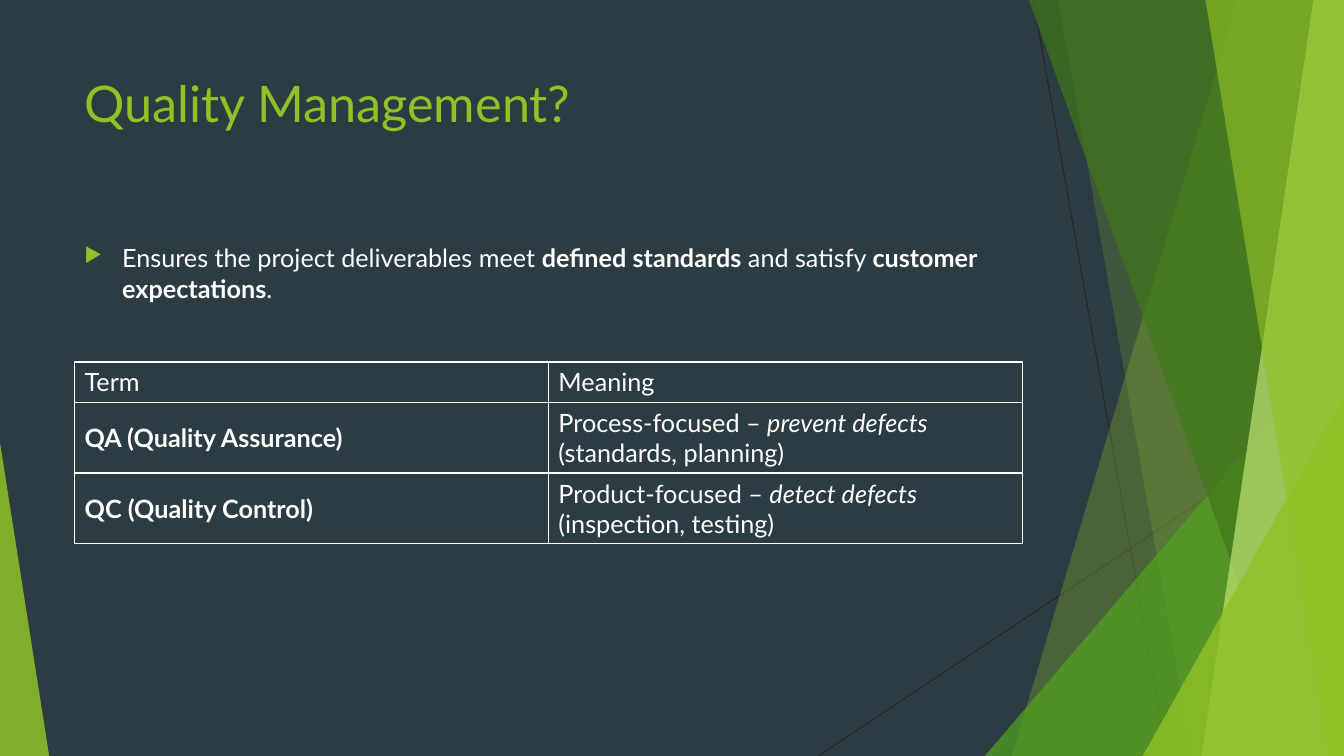
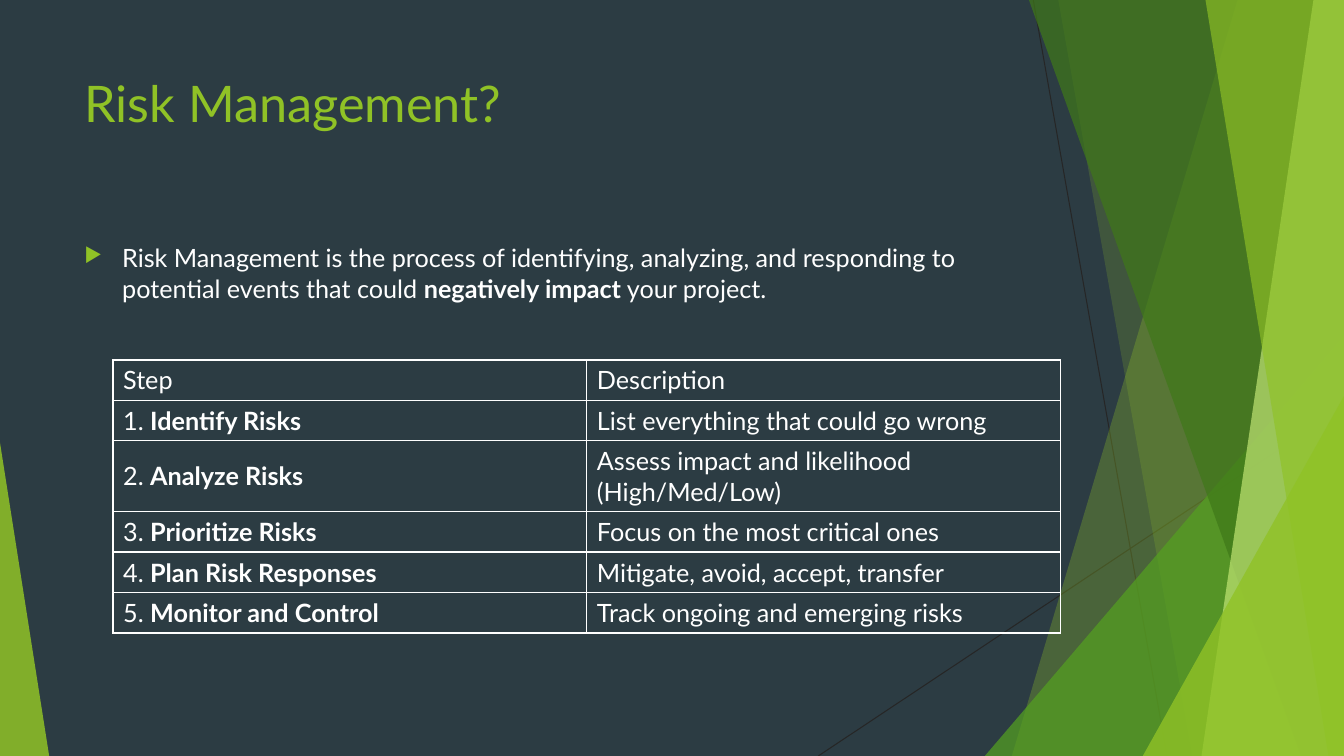
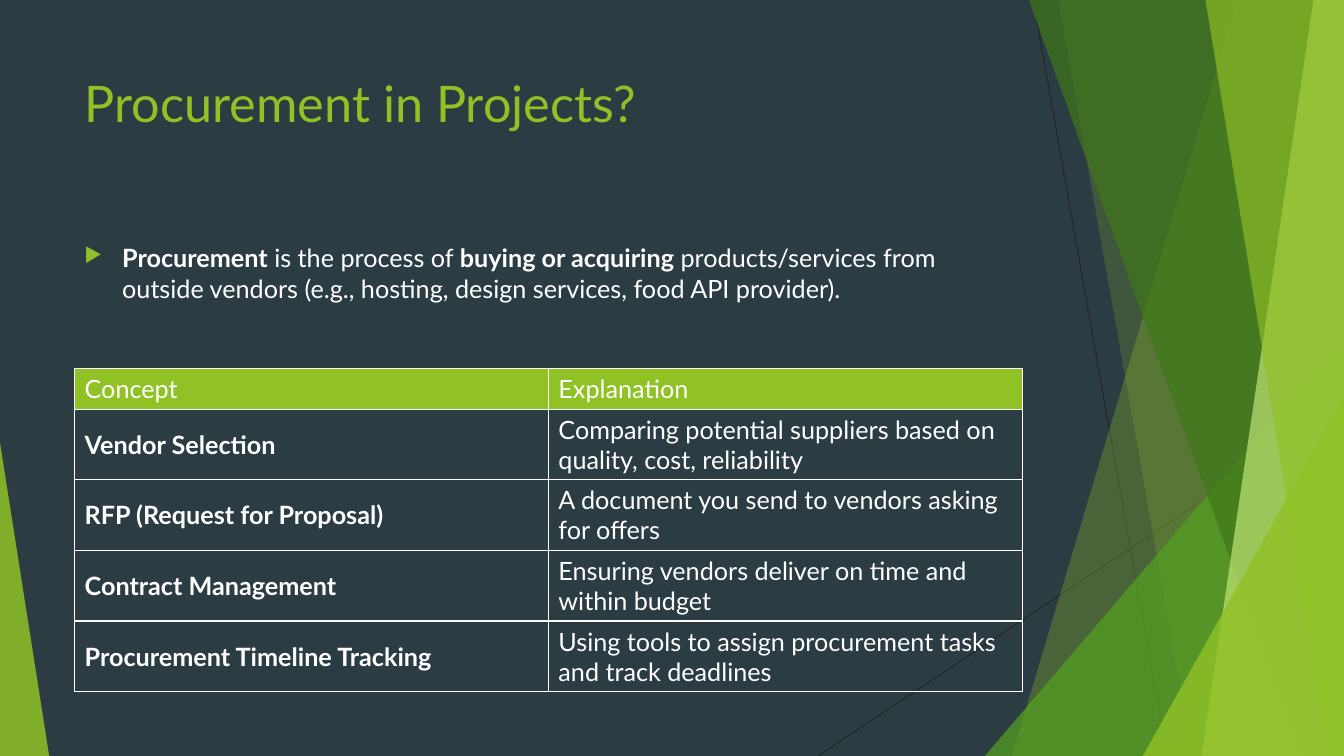
import lxml.etree
import pptx
import pptx.dml.color
import pptx.enum.shapes
import pptx.enum.text
import pptx.oxml.ns
import pptx.util

Cm, Pt = pptx.util.Cm, pptx.util.Pt
qn = pptx.oxml.ns.qn

# Shared look
COLORS = {"night": "2C3C43", "lime": "90C226", "green": "54A021", "forest": "3F7819",
          "pale": "C0E474", "thread": "262626", "white": "FFFFFF"}
FONT = "Lato"
WIDTH, HEIGHT = 33.87, 19.05
MARGIN, CONTENT_WIDTH = 1.88, 23.88
LINE_HEIGHT, CELL_PADDING, WRAP_AT = 0.76, 0.26, 40

# Decoration: threads are x1, y1, x2, y2; beams are top x, bottom x, reaching the
# right edge; wedges are left, top, width, apex position, reaching the bottom
THREADS = [(26.04, 0, 29.41, HEIGHT), (WIDTH, 10.24, 20.62, HEIGHT)]
FACETS = [
    ("beam", (31.19, 25.5), "lime", 30),
    ("beam", (26.67, 30.05), "lime", 20),
    ("wedge", (24.82, 8.46, 9.05, 1), "green", 72),
    ("beam", (25.93, 32.79), "forest", 70),
    ("beam", (33.1, 30.28), "pale", 70),
    ("beam", (30.38, 33.48), "lime", 65),
    ("wedge", (28.8, 9.98, 5.07, 1), "lime", 80),
    ("wedge", (0, 11.15, 1.24, 0), "lime", 85),
]

# Content: a text is a list of plain strings and (string, style) pairs
TOPICS = [
    {
        "title": "Quality Management?",
        "summary": ["Ensures the project deliverables meet ", ("defined standards", "bold"),
                    " and satisfy ", ("customer expectations", "bold"), "."],
        "table_at": (MARGIN, 9.12),
        "header_fill": None,
        "rows": [
            (["Term"], ["Meaning"]),
            ([("QA (Quality Assurance)", "bold")],
             ["Process-focused – ", ("prevent defects", "italic"), " (standards, planning)"]),
            ([("QC (Quality Control)", "bold")],
             ["Product-focused – ", ("detect defects", "italic"), " (inspection, testing)"]),
        ],
    },
    {
        "title": "Risk Management?",
        "summary": ["Risk Management is the process of identifying, analyzing, and responding "
                    "to potential events that could ", ("negatively impact", "bold"),
                    " your project."],
        "table_at": (2.85, 9.07),
        "header_fill": None,
        "rows": [
            (["Step"], ["Description"]),
            (["1. ", ("Identify Risks", "bold")], ["List everything that could go wrong"]),
            (["2. ", ("Analyze Risks", "bold")],
             ["Assess impact and likelihood (High/Med/Low)"]),
            (["3. ", ("Prioritize Risks", "bold")], ["Focus on the most critical ones"]),
            (["4. ", ("Plan Risk Responses", "bold")], ["Mitigate, avoid, accept, transfer"]),
            (["5. ", ("Monitor and Control", "bold")], ["Track ongoing and emerging risks"]),
        ],
    },
    {
        "title": "Procurement in Projects?",
        "summary": [("Procurement", "bold"), " is the process of ",
                    ("buying or acquiring", "bold"), " products/services from outside vendors "
                    "(e.g., hosting, design services, food API provider)."],
        "table_at": (MARGIN, 9.29),
        "header_fill": "lime",
        "rows": [
            (["Concept"], ["Explanation"]),
            ([("Vendor Selection", "bold")],
             ["Comparing potential suppliers based on quality, cost, reliability"]),
            ([("RFP (Request for Proposal)", "bold")],
             ["A document you send to vendors asking for offers"]),
            ([("Contract Management", "bold")],
             ["Ensuring vendors deliver on time and within budget"]),
            ([("Procurement Timeline Tracking", "bold")],
             ["Using tools to assign procurement tasks and track deadlines"]),
        ],
    },
]


def rgb(name):
    return pptx.dml.color.RGBColor.from_string(COLORS[name])


def add_xml(parent, tag, **attributes):
    child = lxml.etree.SubElement(parent, qn(tag))
    for key, value in attributes.items():
        child.set(key, str(value))
    return child


def write(paragraph, text, size, color):
    """Fill a paragraph with runs in one font, some of them bold or italic."""
    paragraph.alignment = pptx.enum.text.PP_ALIGN.LEFT
    paragraph.font.name = FONT
    paragraph.font.size = Pt(size)
    paragraph.font.color.rgb = rgb(color)
    for part in text:
        words, style = (part, None) if isinstance(part, str) else part
        run = paragraph.add_run()
        run.text = words
        if style:
            setattr(run.font, style, True)


# Decoration, drawn once and kept in the layout
def add_thread(shapes, x1, y1, x2, y2):
    thread = shapes.add_connector(pptx.enum.shapes.MSO_CONNECTOR.STRAIGHT,
                                  Cm(x1), Cm(y1), Cm(x2), Cm(y2))
    thread.line.color.rgb = rgb("thread")
    thread.line.width = Pt(0.75)
    add_xml(thread.element.spPr, "a:effectLst")
    return thread


def add_facet(shapes, kind, geometry, color, opacity):
    if kind == "beam":
        top_x, bottom_x = geometry
        outline = shapes.build_freeform(Cm(top_x), 0)
        outline.add_line_segments([(Cm(WIDTH), 0), (Cm(WIDTH), Cm(HEIGHT)),
                                   (Cm(bottom_x), Cm(HEIGHT))], close=True)
        facet = outline.convert_to_shape()
    else:
        left, top, width, apex = geometry
        facet = shapes.add_shape(pptx.enum.shapes.MSO_SHAPE.ISOSCELES_TRIANGLE,
                                 Cm(left), Cm(top), Cm(width), Cm(HEIGHT - top))
        facet.adjustments[0] = apex
    facet.shadow.inherit = False
    facet.fill.solid()
    facet.fill.fore_color.rgb = rgb(color)
    add_xml(facet.element.xpath(".//a:srgbClr")[0], "a:alpha", val=opacity * 1000)
    facet.line.fill.background()
    return facet


def decorate(layout, shapes):
    layout.background.fill.solid()
    layout.background.fill.fore_color.rgb = rgb("night")
    decoration = [add_thread(shapes, *ends) for ends in THREADS]
    decoration += [add_facet(shapes, *facet) for facet in FACETS]
    for number, part in enumerate(decoration):
        part.element.xpath(".//p:cNvPr")[0].set("id", str(100 + number))
        layout.shapes.element.insert(2 + number, part.element)


# Slide parts
def set_title(slide, text):
    title = slide.shapes.title
    title.left, title.top = Cm(MARGIN), Cm(1.7)
    title.width, title.height = Cm(CONTENT_WIDTH), Cm(3.66)
    title.text_frame.vertical_anchor = pptx.enum.text.MSO_ANCHOR.TOP
    write(title.text_frame.paragraphs[0], [text], 36, "lime")


def add_summary(slide, text):
    summary = slide.shapes.add_textbox(Cm(MARGIN), Cm(5.99), Cm(CONTENT_WIDTH), Cm(10.77))
    summary.text_frame.word_wrap = True
    paragraph = summary.text_frame.paragraphs[0]
    properties = paragraph._p.get_or_add_pPr()
    properties.set("marL", str(Cm(0.95)))
    properties.set("indent", str(-Cm(0.95)))
    add_xml(add_xml(properties, "a:buClr"), "a:srgbClr", val=COLORS["lime"])
    add_xml(properties, "a:buSzPct", val=80000)
    add_xml(properties, "a:buChar", char="▶")
    paragraph.space_before = Pt(10)
    write(paragraph, text, 18, "white")


def row_height(row):
    longest = max(sum(len(part if isinstance(part, str) else part[0]) for part in text)
                  for text in row)
    return CELL_PADDING + LINE_HEIGHT * (2 if longest > WRAP_AT else 1)


def format_cell(cell, text, fill):
    properties = cell._tc.get_or_add_tcPr()
    for side in ("a:lnL", "a:lnR", "a:lnT", "a:lnB"):
        border = add_xml(properties, side, w=Pt(1))
        add_xml(add_xml(border, "a:solidFill"), "a:srgbClr", val=COLORS["white"])
    if fill:
        cell.fill.solid()
        cell.fill.fore_color.rgb = rgb(fill)
    else:
        cell.fill.background()
    cell.vertical_anchor = pptx.enum.text.MSO_ANCHOR.MIDDLE
    write(cell.text_frame.paragraphs[0], text, 18, "white")


def add_terms(slide, rows, position, header_fill):
    heights = [row_height(row) for row in rows]
    left, top = position
    terms = slide.shapes.add_table(len(rows), len(rows[0]), Cm(left), Cm(top),
                                   Cm(CONTENT_WIDTH), Cm(sum(heights))).table
    terms.first_row = terms.horz_banding = False
    for r, row in enumerate(rows):
        terms.rows[r].height = Cm(heights[r])
        for c, text in enumerate(row):
            format_cell(terms.cell(r, c), text, None if r else header_fill)


def main():
    deck = pptx.Presentation()
    deck.slide_width, deck.slide_height = Cm(WIDTH), Cm(HEIGHT)
    layout = deck.slide_layouts.get_by_name("Title Only")
    for number, topic in enumerate(TOPICS):
        slide = deck.slides.add_slide(layout)
        if number == 0:
            decorate(layout, slide.shapes)
        set_title(slide, topic["title"])
        add_summary(slide, topic["summary"])
        add_terms(slide, topic["rows"], topic["table_at"], topic["header_fill"])
    deck.save("out.pptx")


if __name__ == "__main__":
    main()
